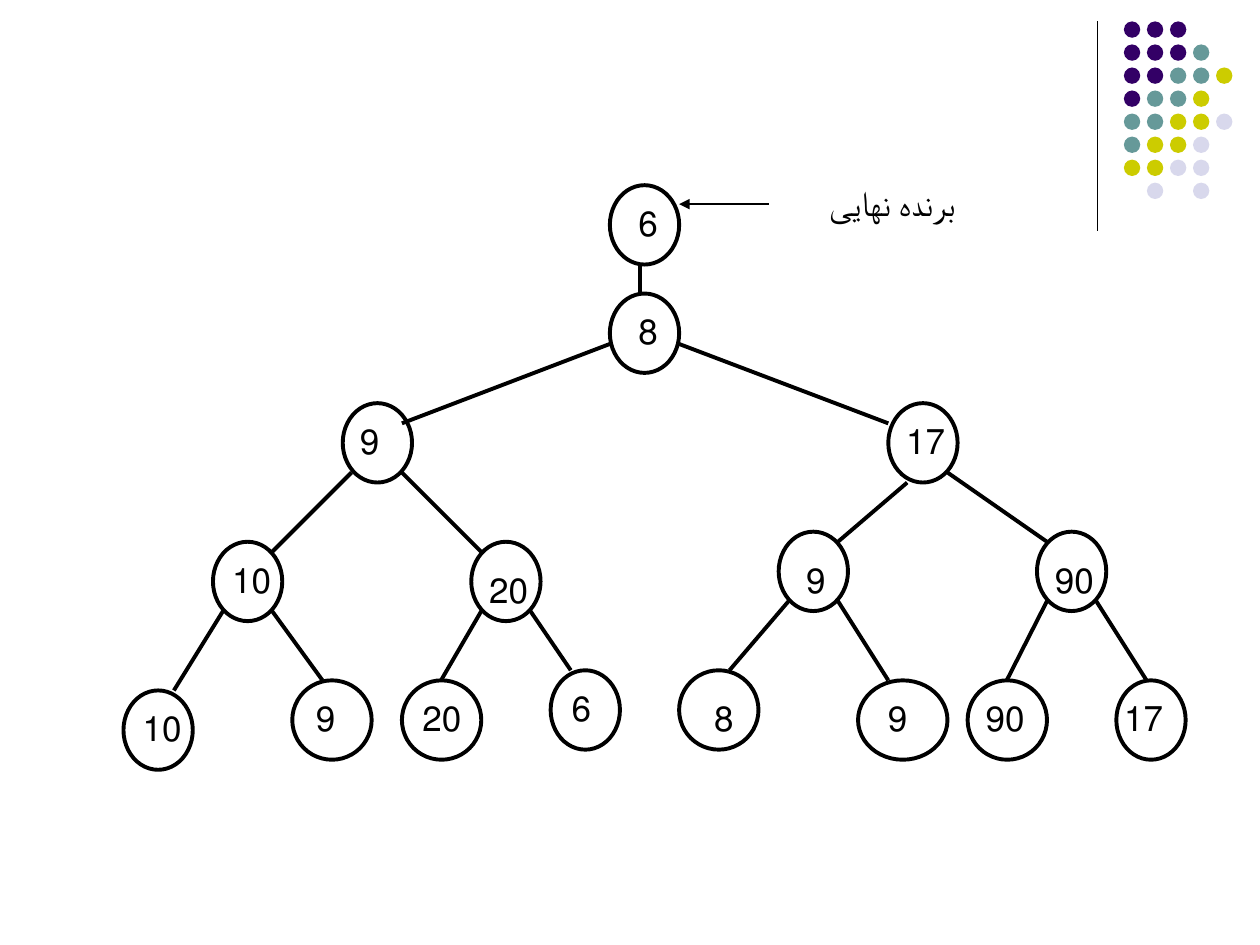
"""Build a slide showing a tournament tree of losers with its final winner."""
from lxml import etree
from pptx import Presentation
from pptx.dml.color import RGBColor
from pptx.enum.dml import MSO_LINE
from pptx.enum.shapes import MSO_CONNECTOR, MSO_SHAPE
from pptx.enum.text import MSO_AUTO_SIZE, PP_ALIGN
from pptx.oxml.ns import qn
from pptx.util import Inches, Pt

OVAL = MSO_SHAPE.OVAL
LINE = MSO_CONNECTOR.STRAIGHT
SOLID = MSO_LINE.SOLID
RIGHT = PP_ALIGN.RIGHT
GROW = MSO_AUTO_SIZE.SHAPE_TO_FIT_TEXT

BLACK = RGBColor(0, 0, 0)
WHITE = RGBColor(255, 255, 255)
COLORS = {
    "P": RGBColor(0x33, 0x00, 0x66),
    "T": RGBColor(0x66, 0x99, 0x99),
    "Y": RGBColor(0xCC, 0xCC, 0x00),
    "L": RGBColor(0xD8, 0xD8, 0xEC),
}
COMIC, KARLA = "Comic Neue", "Karla"

DOTS = ["PPP", "PPPT", "PPTTY", "PTTY", "TTYYL", "TYYL", "YYLL", " L L"]
DOT_X, DOT_Y, DOT_SIZE, DOT_STEP = 8.92, 0.17, 0.13, 1.28 / 7

HIGH, TEXT_HIGH = 0.63, 0.44
# label, oval (left, top, width), text (left, top, width), font
NODES = [
    ("6", (4.84, 1.47, 0.55), (4.53, 1.55, 0.79), COMIC),
    ("8", (4.84, 2.33, 0.55), (4.53, 2.41, 0.79), COMIC),
    ("9", (2.72, 3.2, 0.55), (2.24, 3.28, 0.87), COMIC),
    ("17", (7.05, 3.2, 0.55), (6.26, 3.28, 1.34), COMIC),
    ("10", (1.69, 4.3, 0.55), (1.38, 4.38, 0.87), COMIC),
    ("20", (3.74, 4.3, 0.55), (3.11, 4.46, 1.18), COMIC),
    ("9", (6.18, 4.22, 0.55), (5.71, 4.38, 0.94), COMIC),
    ("90", (8.23, 4.22, 0.55), (7.91, 4.38, 0.87), COMIC),
    ("10", (0.98, 5.48, 0.55), (0.83, 5.56, 0.71), COMIC),
    ("9", (2.32, 5.4, 0.63), (2.24, 5.48, 0.52), KARLA),
    ("20", (3.19, 5.4, 0.63), (3.03, 5.48, 0.73), KARLA),
    ("6", (4.37, 5.32, 0.55), (4.06, 5.4, 0.73), KARLA),
    ("8", (5.39, 5.32, 0.63), (5.08, 5.48, 0.84), KARLA),
    ("9", (6.81, 5.4, 0.71), (6.57, 5.48, 0.73), KARLA),
    ("90", (7.68, 5.4, 0.63), (7.6, 5.48, 0.63), KARLA),
    ("17", (8.86, 5.4, 0.55), (8.7, 5.48, 0.63), COMIC),
]
EDGES = [
    (5.08, 2.1, 5.08, 2.33),
    (4.84, 2.73, 3.19, 3.36),
    (5.39, 2.73, 7.05, 3.36),
    (2.79, 3.75, 2.16, 4.38),
    (3.19, 3.75, 3.82, 4.38),
    (7.2, 3.83, 6.65, 4.3),
    (7.52, 3.75, 8.31, 4.3),
    (1.77, 4.85, 1.38, 5.48),
    (2.16, 4.85, 2.56, 5.4),
    (3.82, 4.85, 3.5, 5.4),
    (4.21, 4.85, 4.53, 5.32),
    (6.26, 4.77, 5.79, 5.32),
    (6.65, 4.77, 7.05, 5.4),
    (8.31, 4.77, 7.99, 5.4),
    (8.7, 4.77, 9.1, 5.4),
]
RULE = (8.71, 0.17, 8.71, 1.83)
ARROW = (6.1, 1.62, 5.39, 1.62)
WINNER = ("برنده نهایی", (6.19, 1.39, 1.49), COMIC)


def add_oval(shapes, left, top, width, high, fill):
    oval = shapes.add_shape(OVAL, *map(Inches, (left, top, width, high)))
    oval.shadow.inherit = False
    oval.fill.solid()
    oval.fill.fore_color.rgb = fill
    return oval


def add_line(shapes, ends, weight):
    line = shapes.add_connector(LINE, *map(Inches, ends))
    line.line.color.rgb = BLACK
    line.line.width = Pt(weight)
    line.line.dash_style = SOLID
    etree.SubElement(line._element.spPr, qn("a:effectLst"))
    return line


def add_text(shapes, text, place, face, wrap=True):
    box = shapes.add_textbox(*map(Inches, (*place, TEXT_HIGH)))
    frame = box.text_frame
    frame.word_wrap = wrap
    frame.auto_size = GROW
    para = frame.paragraphs[0]
    para.text = text
    para.alignment = RIGHT
    para._p.get_or_add_pPr().set("rtl", "1")
    para.font.name = face
    para.font.size = Pt(20)
    para.font.color.rgb = BLACK


def main():
    deck = Presentation()
    deck.slide_width, deck.slide_height = Inches(10), Inches(7.5)
    shapes = deck.slides.add_slide(deck.slide_layouts[6]).shapes

    add_line(shapes, RULE, 0.75)
    group = shapes.add_group_shape().shapes
    for row, keys in enumerate(DOTS):
        for col, key in enumerate(keys):
            if key in COLORS:
                left, top = DOT_X + col * DOT_STEP, DOT_Y + row * DOT_STEP
                dot = add_oval(group, left, top, DOT_SIZE, DOT_SIZE, COLORS[key])
                dot.line.fill.background()

    for _, place, _, _ in NODES:
        node = add_oval(shapes, *place, HIGH, WHITE)
        node.line.color.rgb = BLACK
        node.line.width = Pt(2.25)
    for ends in EDGES:
        add_line(shapes, ends, 2.25)
    arrow = add_line(shapes, ARROW, 0.75)
    etree.SubElement(arrow.line._get_or_add_ln(), qn("a:tailEnd"), type="triangle")

    for label, _, place, face in NODES:
        add_text(shapes, label, place, face)
    add_text(shapes, *WINNER, wrap=False)
    deck.save("out.pptx")


if __name__ == "__main__":
    main()
